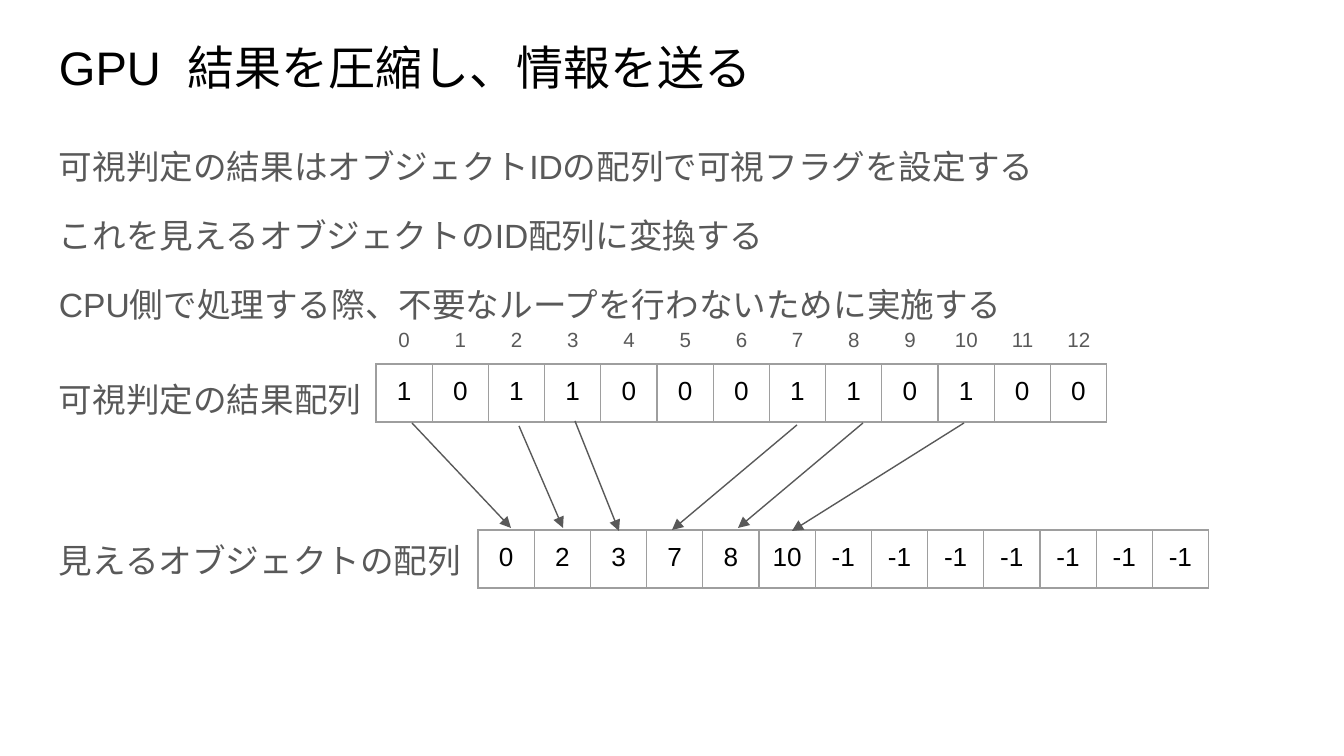
from dataclasses import dataclass

from lxml.etree import SubElement
from pptx import Presentation
from pptx.dml.color import RGBColor
from pptx.enum.shapes import MSO_CONNECTOR
from pptx.enum.text import PP_ALIGN
from pptx.oxml.ns import qn
from pptx.util import Emu, Pt

BLACK = RGBColor(0x00, 0x00, 0x00)
GRAY = RGBColor(0x59, 0x59, 0x59)
BORDER = RGBColor(0x9E, 0x9E, 0x9E)
FONT = "Arial"
SLIDE_W, SLIDE_H = 1344, 756
EMU_PER_PX = 9144000 / SLIDE_W
INSET = 13
COLUMNS = 13
ROW_W, ROW_H = 731, 58


def px(n: float) -> Emu:
    return Emu(round(n * EMU_PER_PX))


@dataclass(frozen=True)
class TextBlock:
    x: int
    y: int
    w: int
    h: int
    lines: tuple[str, ...]
    size: float = 18
    color: RGBColor = GRAY
    line_spacing: float = 1.15


@dataclass(frozen=True)
class ArrayRow:
    x: int
    y: int
    values: tuple[int, ...]


@dataclass(frozen=True)
class Arrow:
    x1: int
    y1: int
    x2: int
    y2: int


FLAGS = ArrayRow(376, 364, (1, 0, 1, 1, 0, 0, 0, 1, 1, 0, 1, 0, 0))
VISIBLE_IDS = tuple(i for i, flag in enumerate(FLAGS.values) if flag)
VISIBLE = ArrayRow(478, 530, VISIBLE_IDS + (-1,) * (COLUMNS - len(VISIBLE_IDS)))

TEXTS = (
    TextBlock(46, 26, 1252, 84, ("GPU  結果を圧縮し、情報を送る",), 25.2, BLACK, 1),
    TextBlock(46, 127, 1252, 236, (
        "可視判定の結果はオブジェクトIDの配列で可視フラグを設定する",
        "これを見えるオブジェクトのID配列に変換する",
        "CPU側で処理する際、不要なループを行わないために実施する",
    )),
    TextBlock(46, 360, 330, 72, ("可視判定の結果配列",)),
    TextBlock(46, 521, 430, 72, ("見えるオブジェクトの配列",)),
)

ARROWS = (
    Arrow(412, 423, 511, 528),
    Arrow(519, 426, 563, 528),
    Arrow(575, 421, 619, 531),
    Arrow(797, 425, 672, 530),
    Arrow(863, 423, 738, 528),
    Arrow(964, 423, 792, 531),
)


def add_text(s, block: TextBlock):
    sp = s.shapes.add_textbox(px(block.x), px(block.y), px(block.w), px(block.h))
    tf = sp.text_frame
    tf.word_wrap = True
    tf.margin_left = tf.margin_right = tf.margin_top = tf.margin_bottom = px(INSET)
    tf.text = "\n".join(block.lines)
    for i, p in enumerate(tf.paragraphs):
        p.line_spacing = block.line_spacing
        if i:
            p.space_before = Pt(12)
        for r in p.runs:
            r.font.name = FONT
            r.font.size = Pt(block.size)
            r.font.color.rgb = block.color
    return sp


def add_indexes(s, row: ArrayRow) -> None:
    """Number the columns above a row, with one centred tab stop per cell."""
    labels = "".join(f"\t{i}" for i in range(COLUMNS))
    block = TextBlock(row.x - INSET, 315, ROW_W + 2 * INSET, 50, (labels,), 11, GRAY, 1)
    p = add_text(s, block).text_frame.paragraphs[0]
    tabs = SubElement(p._p.get_or_add_pPr(), qn("a:tabLst"))
    for i in range(COLUMNS):
        center = px((i + 0.5) * ROW_W / COLUMNS)
        SubElement(tabs, qn("a:tab"), pos=str(center), algn="ctr")


def add_borders(cell) -> None:
    tcPr = cell._tc.get_or_add_tcPr()
    for i, side in enumerate(("a:lnL", "a:lnR", "a:lnT", "a:lnB")):
        ln = tcPr.makeelement(qn(side), {"w": str(Pt(0.75))})
        fill = SubElement(ln, qn("a:solidFill"))
        SubElement(fill, qn("a:srgbClr"), val=str(BORDER))
        tcPr.insert(i, ln)


def add_array(s, row: ArrayRow) -> None:
    table = s.shapes.add_table(
        1, COLUMNS, px(row.x), px(row.y), px(ROW_W), px(ROW_H)).table
    table.first_row = table.horz_banding = False
    for cell, value in zip(table.rows[0].cells, row.values):
        cell.fill.background()
        add_borders(cell)
        cell.margin_left = cell.margin_right = px(INSET)
        cell.margin_top = cell.margin_bottom = px(INSET)
        cell.text = str(value)
        p = cell.text_frame.paragraphs[0]
        p.alignment = PP_ALIGN.CENTER
        font = p.runs[0].font
        font.name, font.size, font.color.rgb = FONT, Pt(14), BLACK


def add_arrow(s, arrow: Arrow) -> None:
    line = s.shapes.add_connector(
        MSO_CONNECTOR.STRAIGHT,
        px(arrow.x1), px(arrow.y1), px(arrow.x2), px(arrow.y2))
    line.line.color.rgb = GRAY
    line.line.width = Pt(0.75)
    SubElement(line.line._get_or_add_ln(), qn("a:tailEnd"), type="triangle")
    SubElement(line._element.spPr, qn("a:effectLst"))


def main() -> None:
    prs = Presentation()
    prs.slide_width, prs.slide_height = px(SLIDE_W), px(SLIDE_H)
    s = prs.slides.add_slide(prs.slide_layouts[6])
    for block in TEXTS:
        add_text(s, block)
    add_indexes(s, FLAGS)
    for row in (FLAGS, VISIBLE):
        add_array(s, row)
    for arrow in ARROWS:
        add_arrow(s, arrow)
    prs.save("out.pptx")


if __name__ == "__main__":
    main()
